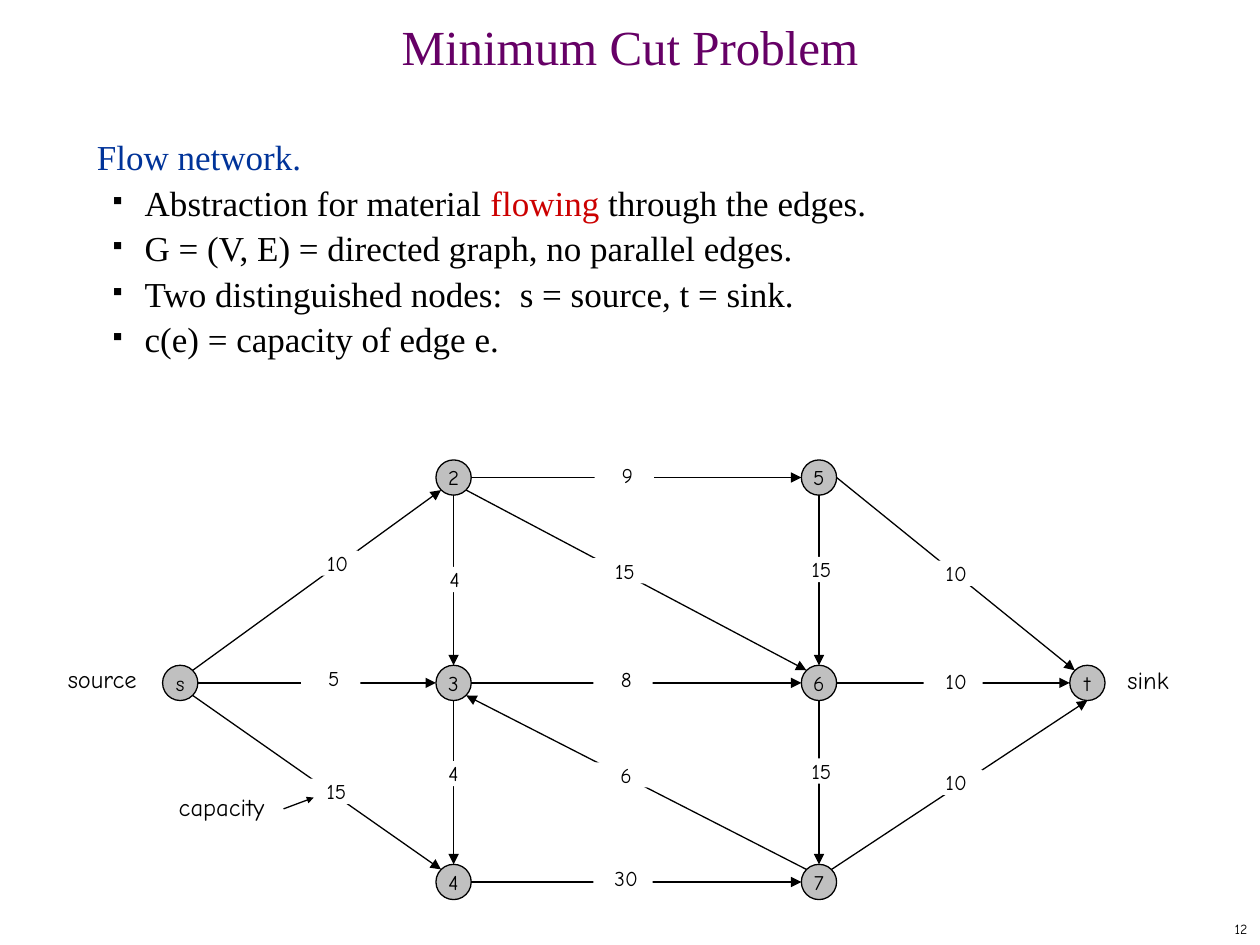
from lxml import etree
from pptx import Presentation
from pptx.dml.color import RGBColor
from pptx.enum.shapes import MSO_CONNECTOR as Connector, MSO_SHAPE as Shape
from pptx.enum.text import MSO_ANCHOR as Anchor, PP_ALIGN as Align
from pptx.oxml.ns import qn
from pptx.util import Inches, Pt

BLACK = RGBColor(0x00, 0x00, 0x00)
WHITE = RGBColor(0xFF, 0xFF, 0xFF)
GRAY = RGBColor(0xC0, 0xC0, 0xC0)
PURPLE = RGBColor(0x66, 0x00, 0x66)
BLUE = RGBColor(0x00, 0x33, 0x99)
RED = RGBColor(0xCC, 0x00, 0x00)
SERIF = "Times New Roman"
HAND = "Comic Neue"

BULLETS = [
    [("Abstraction for material ", BLACK), ("flowing", RED), (" through the edges.", BLACK)],
    [("G = (V, E) = directed graph, no parallel edges.", BLACK)],
    [("Two distinguished nodes:  s = source, t = sink.", BLACK)],
    [("c(e) = capacity of edge e.", BLACK)],
]
COLUMNS = [0.14, 2.31, 5.21, 7.34]
ROWS = [0.14, 1.77, 3.35]
RADIUS = 0.14
DIAGONAL = 0.1
NODES = {
    "s": (0, 1), "2": (1, 0), "3": (1, 1), "4": (1, 2),
    "5": (2, 0), "6": (2, 1), "7": (2, 2), "t": (3, 1),
}
SIDES = {
    "N": (0, -RADIUS), "S": (0, RADIUS), "E": (RADIUS, 0), "W": (-RADIUS, 0),
    "NE": (DIAGONAL, -DIAGONAL), "NW": (-DIAGONAL, -DIAGONAL),
    "SE": (DIAGONAL, DIAGONAL), "SW": (-DIAGONAL, DIAGONAL),
}
EDGES = [
    ("s", "NE", "2", "SW", "10", 1.08, 0.72, 0.15),
    ("s", "E", "3", "W", "5", 1.1, 1.63, 0.05),
    ("s", "SE", "4", "NW", "15", 1.12, 2.53, 0.05),
    ("2", "E", "5", "W", "9", 3.43, 0.02, 0.05),
    ("2", "SE", "6", "NW", "15", 3.41, 0.78, 0.05),
    ("2", "S", "3", "N", "4", 2.06, 0.85, 0.05),
    ("3", "E", "6", "W", "8", 3.42, 1.64, 0.05),
    ("3", "S", "4", "N", "4", 2.05, 2.39, 0.05),
    ("4", "E", "7", "W", "30", 3.42, 3.22, 0.05),
    ("7", "NW", "3", "SE", "6", 3.42, 2.4, 0.05),
    ("5", "S", "6", "N", "15", 4.97, 0.77, 0.05),
    ("6", "S", "7", "N", "15", 4.97, 2.37, 0.05),
    ("5", "E", "t", "NW", "10", 5.99, 0.8, 0.15),
    ("6", "E", "t", "W", "10", 6.04, 1.66, 0.05),
    ("7", "NE", "t", "S", "10", 6.04, 2.46, 0.05),
]
CAPTIONS = [
    ("source", -0.85, 1.57, 0.75),
    ("capacity", 0.03, 2.59, 0.88),
    ("sink", 7.56, 1.58, 0.53),
]


def set_attributes(target, values):
    """Set each named attribute of the target."""
    for name, value in values.items():
        setattr(target, name, value)


def add_run(paragraph, text, font, size, color):
    """Append a formatted run to the paragraph."""
    run = paragraph.add_run()
    run.text = text
    set_attributes(run.font, {"name": font, "size": Pt(size)})
    run.font.color.rgb = color


def add_text_box(slide, box, **frame_values):
    """Add an empty text box and return its text frame."""
    frame = slide.shapes.add_textbox(*map(Inches, box)).text_frame
    set_attributes(frame, {"word_wrap": True, **frame_values})
    return frame


def add_line_of_text(slide, box, text, font, size, color, paragraph_values, **frame_values):
    """Add a text box that holds one paragraph."""
    paragraph = add_text_box(slide, box, **frame_values).paragraphs[0]
    set_attributes(paragraph, paragraph_values)
    add_run(paragraph, text, font, size, color)


def add_title(slide, box):
    """Place the centred title in the box."""
    add_line_of_text(slide, box, "Minimum Cut Problem", SERIF, 28, PURPLE,
                     {"alignment": Align.CENTER, "line_spacing": 0.7},
                     vertical_anchor=Anchor.MIDDLE)


def add_bullet(paragraph):
    """Give the paragraph a small square bullet and a hanging indent."""
    properties = paragraph._p.get_or_add_pPr()
    properties.set("marL", str(Inches(0.38)))
    properties.set("indent", str(Inches(-0.25)))
    color = etree.SubElement(properties, qn("a:buClr"))
    etree.SubElement(color, qn("a:srgbClr"), val=str(BLACK))
    etree.SubElement(properties, qn("a:buSzPct"), val="35000")
    etree.SubElement(properties, qn("a:buChar"), char="■")


def add_body(slide, box):
    """Place the heading and its bullets in the box."""
    frame = add_text_box(slide, box)
    heading = frame.paragraphs[0]
    heading.line_spacing = Pt(26)
    add_run(heading, "Flow network.", SERIF, 20, BLUE)
    for parts in BULLETS:
        paragraph = frame.add_paragraph()
        set_attributes(paragraph, {"level": 1, "line_spacing": Pt(26)})
        add_bullet(paragraph)
        for text, color in parts:
            add_run(paragraph, text, SERIF, 20, color)


def add_arrow(slide, start, end, head_size="med"):
    """Draw a thin black arrow from start to end."""
    arrow = slide.shapes.add_connector(Connector.STRAIGHT, *map(Inches, (*start, *end)))
    arrow.line.width = Pt(0.75)
    arrow.line.color.rgb = BLACK
    etree.SubElement(arrow.line._get_or_add_ln(), qn("a:tailEnd"),
                     type="triangle", w=head_size, len=head_size)
    etree.SubElement(arrow._element.spPr, qn("a:effectLst"))


def add_filled_shape(slide, kind, box, fill, text, frame_values):
    """Add a filled shape with centred text and return it."""
    shape = slide.shapes.add_shape(kind, *map(Inches, box))
    shape.shadow.inherit = False
    shape.fill.solid()
    shape.fill.fore_color.rgb = fill
    set_attributes(shape.text_frame, frame_values)
    paragraph = shape.text_frame.paragraphs[0]
    paragraph.alignment = Align.CENTER
    add_run(paragraph, text, HAND, 12, BLACK)
    return shape


def add_network(slide, box):
    """Place nodes, edges, capacities and captions in the box."""
    left, top = box[:2]
    centers = {name: (left + COLUMNS[column], top + ROWS[row])
               for name, (column, row) in NODES.items()}

    def side_point(name, side):
        """Return the point on that side of the node."""
        return tuple(center + shift for center, shift in zip(centers[name], SIDES[side]))

    for name, (x, y) in centers.items():
        node = add_filled_shape(slide, Shape.OVAL, (x - RADIUS, y - RADIUS, 2 * RADIUS, 2 * RADIUS),
                                GRAY, name, {"word_wrap": False, "vertical_anchor": Anchor.MIDDLE})
        node.line.width = Pt(0.75)
        node.line.color.rgb = BLACK
    for tail, tail_side, head, head_side, *_ in EDGES:
        add_arrow(slide, side_point(tail, tail_side), side_point(head, head_side))
    for *_, capacity, x, y, inset in EDGES:
        label = add_filled_shape(slide, Shape.RECTANGLE, (left + x, top + y, 0.47, 0.2), WHITE, capacity,
                                 {"margin_left": Inches(inset), "margin_right": 0, "margin_top": 0,
                                  "margin_bottom": 0, "vertical_anchor": Anchor.TOP})
        label.line.fill.background()
    for text, x, y, width in CAPTIONS:
        add_line_of_text(slide, (left + x, top + y, width, 0.33), text, HAND, 14, BLACK,
                         {"alignment": Align.LEFT}, word_wrap=False)
    add_arrow(slide, (left + 0.96, top + 2.77), (left + 1.2, top + 2.68), "sm")


def add_page_number(slide, box):
    """Place the page number at the right of the box."""
    add_line_of_text(slide, box, "12", HAND, 8, BLACK, {"alignment": Align.RIGHT},
                     vertical_anchor=Anchor.MIDDLE)


def main():
    """Build and save the presentation."""
    presentation = Presentation()
    set_attributes(presentation, {"slide_width": Inches(10), "slide_height": Inches(7.5)})
    slide = presentation.slides.add_slide(presentation.slide_layouts[6])
    add_body(slide, (0.67, 1, 8.58, 5.92))
    add_title(slide, (0, 0.17, 10, 0.5))
    add_network(slide, (1.29, 3.65, 7.48, 3.49))
    add_page_number(slide, (7.92, 7.25, 2.08, 0.25))
    presentation.save("out.pptx")


if __name__ == "__main__":
    main()
